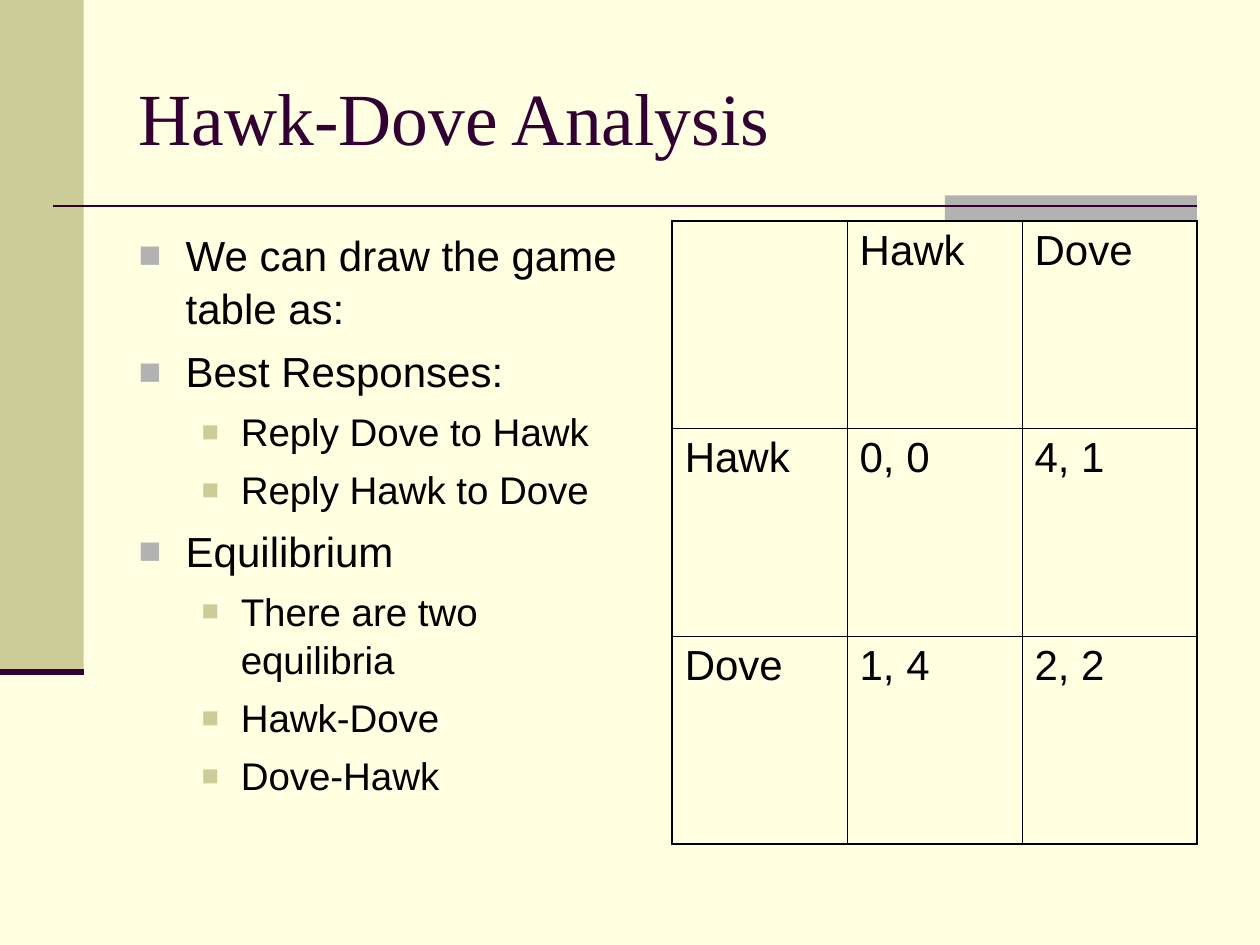
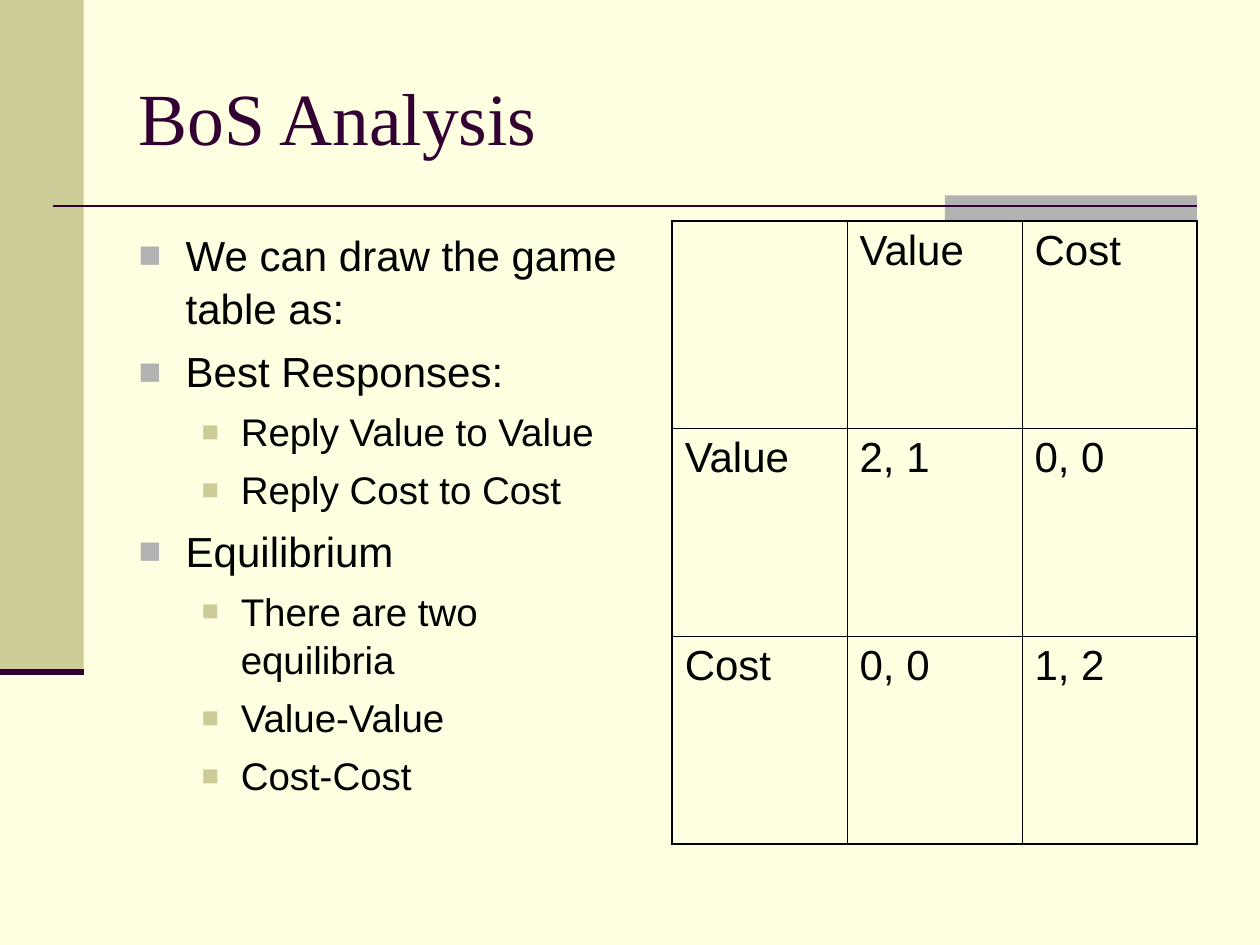
from lxml.etree import SubElement
from pptx import Presentation
from pptx.dml.color import RGBColor
from pptx.enum.shapes import MSO_CONNECTOR, MSO_SHAPE
from pptx.enum.text import MSO_ANCHOR, MSO_AUTO_SIZE, PP_ALIGN
from pptx.oxml.ns import qn
from pptx.util import Cm, Pt

COLORS = {
    "paper": "FFFFE1",
    "olive": "CCCC99",
    "gray": "B2B2B2",
    "plum": "330033",
    "ink": "000000",
}
HEADING_FONT = "Times New Roman"
TEXT_FONT = "Arial"
OUTER_BORDER, INNER_BORDER = 1.08, 0.45
LEFT, RIGHT = 2.54, 24.13
CONTENT_TOP, CONTENT_HEIGHT = 4.45, 12.57
COLUMN_WIDTH = 10.58
BAND_WIDTH, BAND_HEIGHT = 1.69, 13.55
RULE_TOP = 4.15
LEVELS = [
    {"size": 24, "before": 6, "margin": 0.95, "hang": 0.95, "bullet": "gray", "percent": 90},
    {"size": 22, "before": 5.5, "margin": 2.06, "hang": 0.79, "bullet": "olive", "percent": 75},
]


def rgb(name):
    return RGBColor.from_string(COLORS[name])


class GameDeck:
    def __init__(self):
        self.deck = Presentation()
        self.deck.slide_width = Cm(25.4)
        self.deck.slide_height = Cm(19.05)
        background = self.deck.slide_master.background.fill
        background.solid()
        background.fore_color.rgb = rgb("paper")
        self.page = None

    def new_page(self):
        self.page = self.deck.slides.add_slide(self.deck.slide_layouts[1])
        self.block(0, 0, BAND_WIDTH, BAND_HEIGHT, "olive")
        self.block(19.05, 3.94, RIGHT - 19.05, 0.51, "gray")
        self.rule(1.06, RIGHT, RULE_TOP, 1.5)
        self.rule(0, BAND_WIDTH, BAND_HEIGHT, 3.5)

    def block(self, left, top, width, height, color):
        shape = self.page.shapes.add_shape(
            MSO_SHAPE.RECTANGLE, Cm(left), Cm(top), Cm(width), Cm(height))
        shape.shadow.inherit = False
        shape.fill.solid()
        shape.fill.fore_color.rgb = rgb(color)
        shape.line.fill.background()

    def rule(self, start, end, top, weight):
        line = self.page.shapes.add_connector(
            MSO_CONNECTOR.STRAIGHT, Cm(start), Cm(top), Cm(end), Cm(top))
        line.line.color.rgb = rgb("plum")
        line.line.width = Pt(weight)
        SubElement(line._element.spPr, qn("a:effectLst"))

    def place(self, box, left, top, width, height, anchor):
        box.left, box.top, box.width, box.height = Cm(left), Cm(top), Cm(width), Cm(height)
        frame = box.text_frame
        frame.word_wrap = True
        frame.auto_size = MSO_AUTO_SIZE.NONE
        frame.vertical_anchor = anchor
        return frame

    def add_span(self, para, text, size, font=TEXT_FONT, color="ink"):
        para.alignment = PP_ALIGN.LEFT
        span = para.add_run()
        span.text = text
        span.font.size = Pt(size)
        span.font.name = font
        span.font.color.rgb = rgb(color)

    def title(self, text):
        frame = self.place(self.page.shapes.title, LEFT, 0.76, RIGHT - LEFT, 3.18,
                           MSO_ANCHOR.MIDDLE)
        self.add_span(frame.paragraphs[0], text, 42, HEADING_FONT, "plum")

    def bullet(self, para, level):
        look = LEVELS[level]
        props = para._p.get_or_add_pPr()
        props.set("marL", str(Cm(look["margin"])))
        props.set("indent", str(-Cm(look["hang"])))
        SubElement(SubElement(props, qn("a:buClr")), qn("a:srgbClr"), val=COLORS[look["bullet"]])
        SubElement(props, qn("a:buSzPct"), val=str(look["percent"] * 1000))
        SubElement(props, qn("a:buFont"), typeface=TEXT_FONT)
        SubElement(props, qn("a:buChar"), char="■")

    def bullets(self, items):
        frame = self.place(self.page.placeholders[1], LEFT, CONTENT_TOP, COLUMN_WIDTH,
                           CONTENT_HEIGHT, MSO_ANCHOR.TOP)
        for index, (level, text) in enumerate(items):
            para = frame.add_paragraph() if index else frame.paragraphs[0]
            para.level = level
            self.bullet(para, level)
            para.line_spacing = 1.05
            para.space_before = Pt(LEVELS[level]["before"] if index else 0)
            self.add_span(para, text, LEVELS[level]["size"])

    def border(self, cell, side, weight):
        line = SubElement(cell._tc.get_or_add_tcPr(), qn(f"a:ln{side}"), w=str(Pt(weight)))
        SubElement(SubElement(line, qn("a:solidFill")), qn("a:srgbClr"), val=COLORS["ink"])

    def table(self, rows):
        count = len(rows)
        table = self.page.shapes.add_table(
            count, count, Cm(RIGHT - COLUMN_WIDTH), Cm(CONTENT_TOP),
            Cm(COLUMN_WIDTH), Cm(CONTENT_HEIGHT)).table
        table.first_row = table.horz_banding = False
        last = count - 1
        for row, texts in enumerate(rows):
            for column, text in enumerate(texts):
                cell = table.cell(row, column)
                edges = {"L": column == 0, "R": column == last, "T": row == 0, "B": row == last}
                for side, outer in edges.items():
                    self.border(cell, side, OUTER_BORDER if outer else INNER_BORDER)
                cell.fill.background()
                if text:
                    self.add_span(cell.text_frame.paragraphs[0], text, 24)

    def game(self, name, strategies, payoffs, replies, equilibria):
        self.new_page()
        self.title(f"{name} Analysis")
        self.bullets([
            (0, "We can draw the game table as:"),
            (0, "Best Responses:"),
            *((1, f"Reply {reply} to {move}") for reply, move in replies),
            (0, "Equilibrium"),
            (1, "There are two equilibria"),
            *((1, pair) for pair in equilibria),
        ])
        self.table([["", *strategies],
                    *([move, *values] for move, values in zip(strategies, payoffs))])


def main():
    show = GameDeck()
    show.game("Hawk-Dove", ["Hawk", "Dove"],
              [["0, 0", "4, 1"], ["1, 4", "2, 2"]],
              [("Dove", "Hawk"), ("Hawk", "Dove")],
              ["Hawk-Dove", "Dove-Hawk"])
    show.game("BoS", ["Value", "Cost"],
              [["2, 1", "0, 0"], ["0, 0", "1, 2"]],
              [("Value", "Value"), ("Cost", "Cost")],
              ["Value-Value", "Cost-Cost"])
    show.deck.save("out.pptx")


if __name__ == "__main__":
    main()
